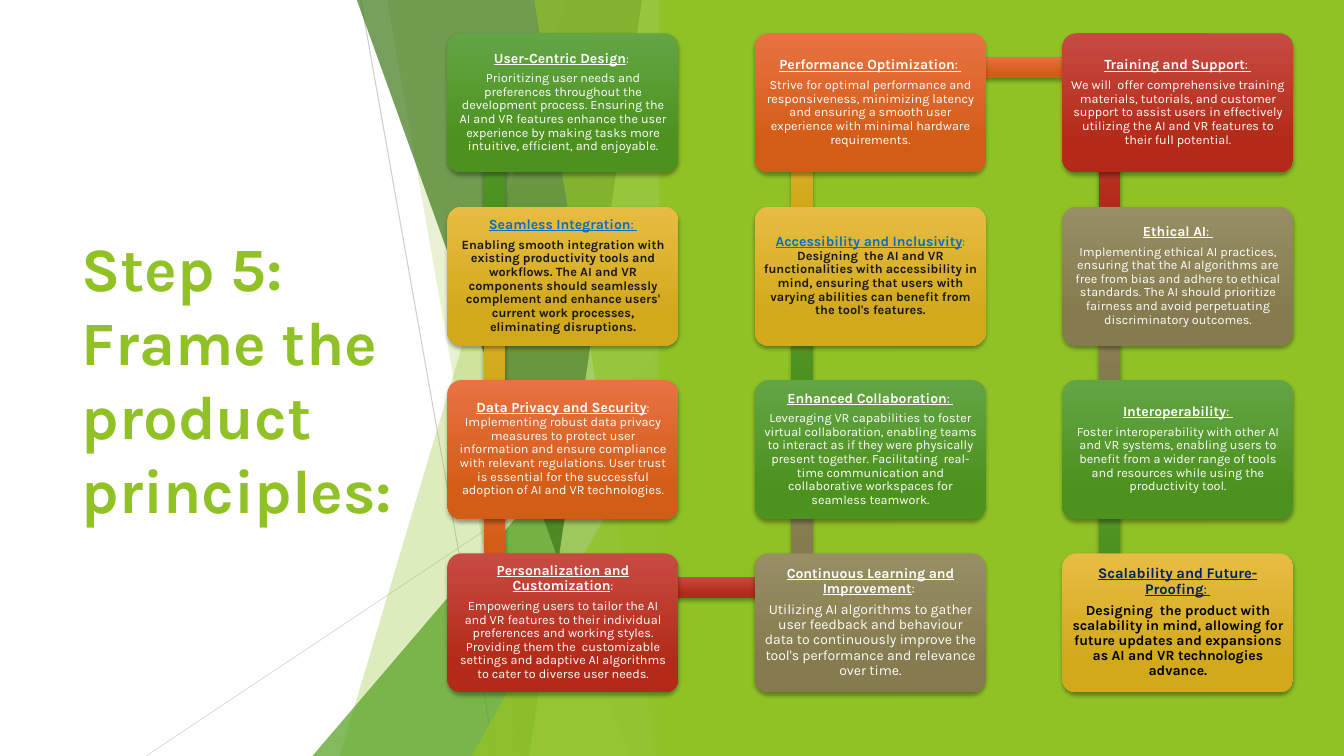
import pptx
import pptx.util
import pptx.dml.color
import pptx.enum.shapes
import pptx.enum.text
import pptx.oxml.ns
from lxml import etree

COLS, ROWS = 80, 45
CELL = pptx.util.Inches(13.333) / COLS
FONT = "Karla"
KIND = pptx.enum.shapes.MSO_SHAPE
ALIGN = pptx.enum.text.PP_ALIGN
HUES = {
    "lime": "90C226", "leaf": "54A021", "moss": "3F7819", "pale": "C0E474",
    "gray": "BFBFBF", "mist": "D9D9D9", "white": "FFFFFF", "ink": "181818",
    "black": "000000", "blue": "0070C0", "navy": "002060",
    "green": ("63A545", "4D921E"), "gold": ("E7BC43", "D2A91B"),
    "orange": ("E87242", "D35D16"), "red": ("C74B42", "B32B18"),
    "khaki": ("988E64", "857B4E"),
}

LINES = [
    ((2.88, 0), (10.86, 45), "gray", 75),
    ((21.36, 24.18), (-9.9, 45), "mist", 80),
]
FACETS = [
    ([(15.06, 0), (21.36, 0), (21.36, 45), (1.62, 45)], "lime", 30),
    ([(4.44, 0), (21.4, 0), (21.4, 45), (12.36, 45)], "lime", 20),
    ((0, 20, 21.36, 25), "leaf", 72),
    ([(2.64, 0), (21.36, 0), (21.36, 45), (18.84, 45)], "moss", 70),
    ([(19.62, 0), (21.36, 0), (21.36, 45), (12.9, 45)], "pale", 70),
    ([(13.2, 0), (21.36, 0), (21.36, 45), (20.46, 45)], "lime", 65),
    ((9.48, 23.58, 11.94, 21.42), "lime", 80),
]

WIDE, HIGH = 13.74, 8.28
STEP_X, STEP_Y = 18.3, 10.32
NODE_X, NODE_Y = 2.8, 2.02
THICK = 1.26

PLAIN = dict(hue="white", size=10, mark=": ", mark_size=10, under=True,
             split=True, ink="white", body_size=9, bold=False, inset=0.04)
SMALL = dict(mark_size=9, under=False)
DARK = dict(hue="blue", ink="ink", bold=True)
CARDS = [
    ("green", "User-Centric Design", "Prioritizing user needs and preferences throughout the development process. Ensuring the AI and VR features enhance the user experience by making tasks more intuitive, efficient, and enjoyable.", SMALL),
    ("gold", "Seamless Integration", "Enabling smooth integration with existing productivity tools and workflows. The AI and VR components should seamlessly complement and enhance users' current work processes, eliminating disruptions.", DARK),
    ("orange", "Data Privacy and Security", "Implementing robust data privacy measures to protect user information and ensure compliance with relevant regulations. User trust is essential for the successful adoption of AI and VR technologies.", SMALL | dict(split=False)),
    ("red", "Personalization and Customization", "Empowering users to tailor the AI and VR features to their individual preferences and working styles. Providing them the  customizable settings and adaptive AI algorithms to cater to diverse user needs.", SMALL | dict(mark=":")),
    ("khaki", "Continuous Learning and Improvement", "Utilizing AI algorithms to gather user feedback and behaviour data to continuously improve the tool's performance and relevance over time.", dict(under=False, body_size=10)),
    ("green", "Enhanced Collaboration", "Leveraging VR capabilities to foster virtual collaboration, enabling teams to interact as if they were physically present together. Facilitating  real-time communication and collaborative workspaces for seamless teamwork.", {}),
    ("gold", "Accessibility and Inclusivity", "Designing  the AI and VR functionalities with accessibility in mind, ensuring that users with varying abilities can benefit from the tool's features.", SMALL | DARK | dict(split=False)),
    ("orange", "Performance Optimization", "Strive for optimal performance and responsiveness, minimizing latency and ensuring a smooth user experience with minimal hardware requirements.", {}),
    ("red", "Training and Support", "We will  offer comprehensive training materials, tutorials, and customer support to assist users in effectively utilizing the AI and VR features to their full potential.", {}),
    ("khaki", "Ethical AI", "Implementing ethical AI practices, ensuring that the AI algorithms are free from bias and adhere to ethical standards. The AI should prioritize fairness and avoid perpetuating discriminatory outcomes.", {}),
    ("green", "Interoperability", "Foster interoperability with other AI and VR systems, enabling users to benefit from a wider range of tools and resources while using the productivity tool.", {}),
    ("gold", "Scalability and Future-Proofing", "Designing  the product with scalability in mind, allowing for future updates and expansions as AI and VR technologies advance.", dict(hue="navy", size=10.5, mark_size=10.5, ink="black", body_size=10, bold=True, inset=0.05)),
]


def grid(*cells):
    return [pptx.util.Emu(round(cell * CELL)) for cell in cells]


def color(name):
    return pptx.dml.color.RGBColor.from_string(name)


def child(parent, tag, **attrs):
    return etree.SubElement(parent, pptx.oxml.ns.qn(tag), attrs)


def fade(shape, share):
    for tint in shape._element.iter(pptx.oxml.ns.qn("a:srgbClr")):
        child(tint, "a:alpha", val=str(share * 1000))


def paint(shape, hue):
    shape.shadow.inherit = False
    shape.fill.solid()
    shape.fill.fore_color.rgb = color(HUES[hue])
    shape.line.fill.background()


def glow(shape, hue):
    shape.shadow.inherit = False
    shape.line.fill.background()
    shape.fill.gradient()
    shape.fill.gradient_angle = 270
    for stop, tint, place in zip(shape.fill.gradient_stops, HUES[hue], (0, 0.78)):
        stop.color.rgb = color(tint)
        stop.position = place
    effects = shape._element.spPr.find(pptx.oxml.ns.qn("a:effectLst"))
    shade = child(effects, "a:outerShdw", blurRad="38100", dist="25400",
                  dir="5400000", rotWithShape="0")
    child(child(shade, "a:srgbClr", val=HUES["black"]), "a:alpha", val="35000")


def write(para, text, size, hue, bold=False, under=False):
    run = para.add_run()
    run.text = text
    run.font.name = FONT
    run.font.size = pptx.util.Pt(size)
    run.font.color.rgb = color(HUES[hue])
    run.font.bold = bold
    run.font.underline = under


def frame(slide, box, inset=None):
    text = slide.shapes.add_textbox(*grid(*box)).text_frame
    text.word_wrap = True
    text.vertical_anchor = pptx.enum.text.MSO_ANCHOR.MIDDLE
    if inset:
        text.margin_left = text.margin_right = pptx.util.Inches(inset)
        text.margin_top = text.margin_bottom = pptx.util.Inches(inset)
    return text


def head(slide, box):
    para = frame(slide, box).paragraphs[0]
    para.space_after = pptx.util.Pt(6)
    write(para, "Step 5: Frame the product principles:", 44, "lime", True)


def decor(slide, left, top):
    for start, end, hue, share in LINES:
        ends = grid(left + start[0], top + start[1], left + end[0], top + end[1])
        line = slide.shapes.add_connector(pptx.enum.shapes.MSO_CONNECTOR.STRAIGHT, *ends)
        line.line.color.rgb = color(HUES[hue])
        line.line.width = pptx.util.Pt(0.75)
        fade(line, share)
        child(line._element.spPr, "a:effectLst")
    for form, hue, share in FACETS:
        if isinstance(form, tuple):
            x, y, wide, high = form
            facet = slide.shapes.add_shape(KIND.ISOSCELES_TRIANGLE, *grid(left + x, top + y, wide, high))
            facet.adjustments[0] = 1
        else:
            dots = [grid(left + x, top + y) for x, y in form]
            build = slide.shapes.build_freeform(*dots[0])
            build.add_line_segments(dots[1:], close=True)
            facet = build.convert_to_shape()
        paint(facet, hue)
        fade(facet, share)


def card(slide, left, top, hue, title, body, extra):
    look = PLAIN | extra
    plate = slide.shapes.add_shape(KIND.ROUNDED_RECTANGLE, *grid(left, top, WIDE, HIGH))
    plate.adjustments[0] = 0.1
    glow(plate, hue)
    text = frame(slide, (left + 0.24, top + 0.24, WIDE - 0.48, HIGH - 0.54), look["inset"])
    para = text.paragraphs[0]
    write(para, title, look["size"], look["hue"], True, True)
    write(para, look["mark"], look["mark_size"], look["hue"], False, look["under"])
    if look["split"]:
        para = text.add_paragraph()
    write(para, body, look["body_size"], look["ink"], look["bold"])
    for para in text.paragraphs:
        para.alignment = ALIGN.CENTER
        para.line_spacing = 0.9
        para.space_after = pptx.util.Pt(4)


def link(slide, start, end, hue):
    left, top = (min(pair) for pair in zip(start, end))
    wide, high = (abs(a - b) for a, b in zip(start, end))
    if wide:
        box = left + NODE_X, top + NODE_Y - THICK / 2, wide, THICK
    else:
        box = left + NODE_X - THICK / 2, top + NODE_Y, THICK, high
    glow(slide.shapes.add_shape(KIND.RECTANGLE, *grid(*box)), hue)


def snake(slide, left, top):
    spots = []
    for col in range(3):
        rows = range(4) if col % 2 == 0 else reversed(range(4))
        spots += [(left + col * STEP_X, top + row * STEP_Y) for row in rows]
    for spot, after, item in zip(spots, spots[1:] + [None], CARDS):
        if after:
            link(slide, spot, after, item[0])
        card(slide, *spot, *item)


def main():
    deck = pptx.Presentation()
    deck.slide_width, deck.slide_height = grid(COLS, ROWS)
    slide = deck.slides.add_slide(deck.slide_layouts[6])
    head(slide, (4.26, 9.06, 23.28, 26.88))
    decor(slide, 18.6, 0)
    paint(slide.shapes.add_shape(KIND.RECTANGLE, *grid(39.24, 0, COLS - 39.24, ROWS)), "lime")
    snake(slide, 26.64, 1.98)
    deck.save("out.pptx")


if __name__ == "__main__":
    main()
